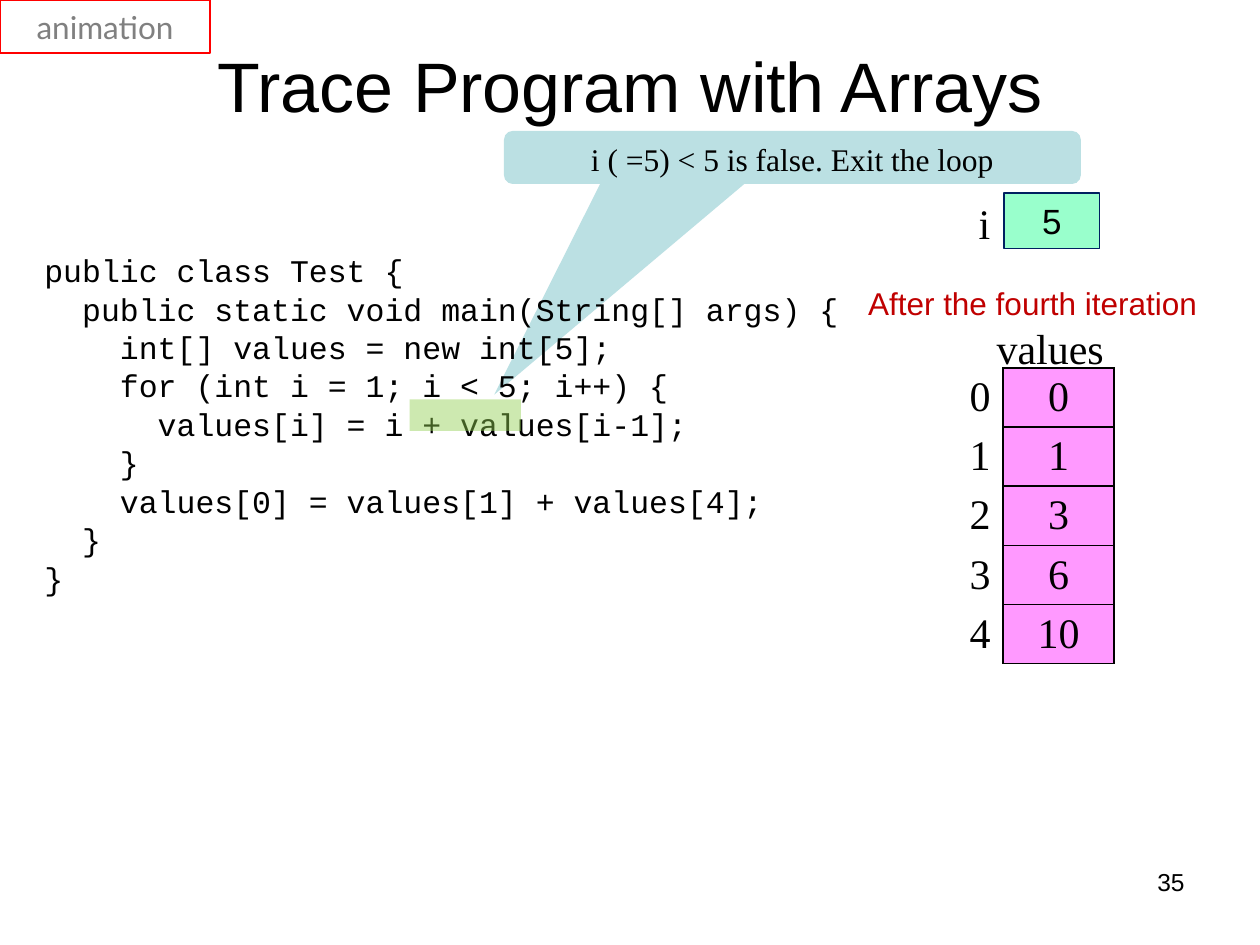
from lxml.etree import SubElement
from pptx import Presentation
from pptx.dml.color import RGBColor
from pptx.enum.shapes import MSO_SHAPE
from pptx.enum.text import MSO_ANCHOR, MSO_AUTO_SIZE, PP_ALIGN
from pptx.oxml.ns import qn
from pptx.util import Cm, Pt

BLACK = RGBColor(0x00, 0x00, 0x00)
GRAY = RGBColor(0x80, 0x80, 0x80)
RED = RGBColor(0xFF, 0x00, 0x00)
DARK_RED = RGBColor(0xC0, 0x00, 0x00)
NAVY = RGBColor(0x00, 0x20, 0x60)
PALE_BLUE = RGBColor(0xBB, 0xE0, 0xE3)
GREEN = RGBColor(0x92, 0xD0, 0x50)
MINT = RGBColor(0x99, 0xFF, 0xCC)
PINK = RGBColor(0xFF, 0x99, 0xFF)

CODE = """public class Test {
  public static void main(String[] args) {
    int[] values = new int[5];
    for (int i = 1; i < 5; i++) {
      values[i] = i + values[i-1];
    }
    values[0] = values[1] + values[4];
  }
}"""
VALUES = [0, 1, 3, 6, 10]


def write(frame, text, font, size, color=BLACK, align=PP_ALIGN.LEFT):
    """Fill a text frame, one paragraph per line, in one format."""
    frame.text = text
    for para in frame.paragraphs:
        para.alignment = align
        para.font.name = font
        para.font.size = Pt(size)
        para.font.color.rgb = color


def add_box(kind, left, top, width, height, fill=None, line=None, weight=1):
    """Add a flat shape with the given fill and outline."""
    box = page.shapes.add_shape(kind, Cm(left), Cm(top), Cm(width), Cm(height))
    box.shadow.inherit = False
    if fill is None:
        box.fill.background()
    else:
        box.fill.solid()
        box.fill.fore_color.rgb = fill
    if line is None:
        box.line.fill.background()
    else:
        box.line.color.rgb = line
        box.line.width = Pt(weight)
    box.text_frame.vertical_anchor = MSO_ANCHOR.TOP
    return box


deck = Presentation()
deck.slide_width, deck.slide_height = Cm(25.4), Cm(19.05)
page = deck.slides.add_slide(deck.slide_layouts[1])
title, body = page.placeholders

# Title
title.left, title.top, title.width, title.height = Cm(1.27), Cm(0.76), Cm(22.86), Cm(1.9)
write(title.text_frame, "Trace Program with Arrays", "Arial", 40, align=PP_ALIGN.CENTER)
title.text_frame.vertical_anchor = MSO_ANCHOR.MIDDLE
title.text_frame.auto_size = MSO_AUTO_SIZE.NONE

# Program listing
body.left, body.top, body.width, body.height = Cm(0.64), Cm(5.08), Cm(16.61), Cm(7.82)
write(body.text_frame, CODE, "Courier New", 18)
body.text_frame.auto_size = MSO_AUTO_SIZE.NONE
for para in body.text_frame.paragraphs:
    para.line_spacing = 0.8
    para.space_before = Pt(4.7)
    properties = para._p.get_or_add_pPr()
    properties.set("marL", str(Cm(1.7)))
    properties.set("indent", str(-Cm(1.7)))
    SubElement(properties, qn("a:buNone"))

# Callout, behind the listing
callout = add_box(MSO_SHAPE.ROUNDED_RECTANGULAR_CALLOUT, 10.16, 2.64, 11.63, 1.07, PALE_BLUE)
for index, value in enumerate([-0.517, 4.471, 0.167]):
    callout.adjustments[index] = value
write(callout.text_frame, "i ( =5) < 5 is false. Exit the loop", "Times New Roman", 18,
      align=PP_ALIGN.CENTER)
page.shapes._spTree.insert(2, callout._element)

# Highlight over the loop condition
highlight = add_box(MSO_SHAPE.RECTANGLE, 8.26, 8.05, 2.24, 0.64, GREEN)
tint = highlight._element.spPr.find(qn("a:solidFill"))[0]
SubElement(tint, qn("a:alpha"), val="45000")

# Animation tag
tag = add_box(MSO_SHAPE.RECTANGLE, 0, 0, 4.24, 1.07, line=RED)
write(tag.text_frame, "animation", "Lato", 18, GRAY, PP_ALIGN.CENTER)
tag.text_frame.vertical_anchor = MSO_ANCHOR.MIDDLE
tag.text_frame.word_wrap = False

# Array table: index and value
table = page.shapes.add_table(len(VALUES), 2, Cm(17.98), Cm(7.42), Cm(4.48), Cm(5.95)).table
table.first_row = table.horz_banding = False
for row, value in enumerate(VALUES):
    index_cell, value_cell = table.cell(row, 0), table.cell(row, 1)
    write(index_cell.text_frame, str(row), "Times New Roman", 24, align=PP_ALIGN.RIGHT)
    write(value_cell.text_frame, str(value), "Times New Roman", 24, align=PP_ALIGN.CENTER)
    for cell, sides in [(index_cell, ["R"]), (value_cell, ["L", "R", "T", "B"])]:
        properties = cell._tc.get_or_add_tcPr()
        for side in sides:
            border = SubElement(properties, qn(f"a:ln{side}"), w=str(Pt(1)))
            paint = SubElement(border, qn("a:solidFill"))
            SubElement(paint, qn("a:srgbClr"), val=str(BLACK))
    index_cell.fill.background()
    value_cell.fill.solid()
    value_cell.fill.fore_color.rgb = PINK

# Labels and page number
labels = [
    ("35", 18.21, 17.35, 5.92, 1.32, "Arial", 14, BLACK, PP_ALIGN.RIGHT),
    ("After the fourth iteration", 17.25, 5.61, 7.21, 1.02, "Arial", 18, DARK_RED, PP_ALIGN.LEFT),
    ("values", 19.84, 6.38, 2.69, 1.3, "Times New Roman", 24, BLACK, PP_ALIGN.LEFT),
    ("i", 19.48, 3.86, 0.74, 1.3, "Times New Roman", 24, BLACK, PP_ALIGN.LEFT),
]
for text, left, top, width, height, font, size, color, align in labels:
    label = page.shapes.add_textbox(Cm(left), Cm(top), Cm(width), Cm(height))
    write(label.text_frame, text, font, size, color, align)
    label.text_frame.word_wrap = align == PP_ALIGN.RIGHT

# Value of i
counter = add_box(MSO_SHAPE.RECTANGLE, 20.24, 3.89, 1.93, 1.12, MINT, NAVY, 0.75)
write(counter.text_frame, "5", "Arial", 20, align=PP_ALIGN.CENTER)

deck.save("out.pptx")
